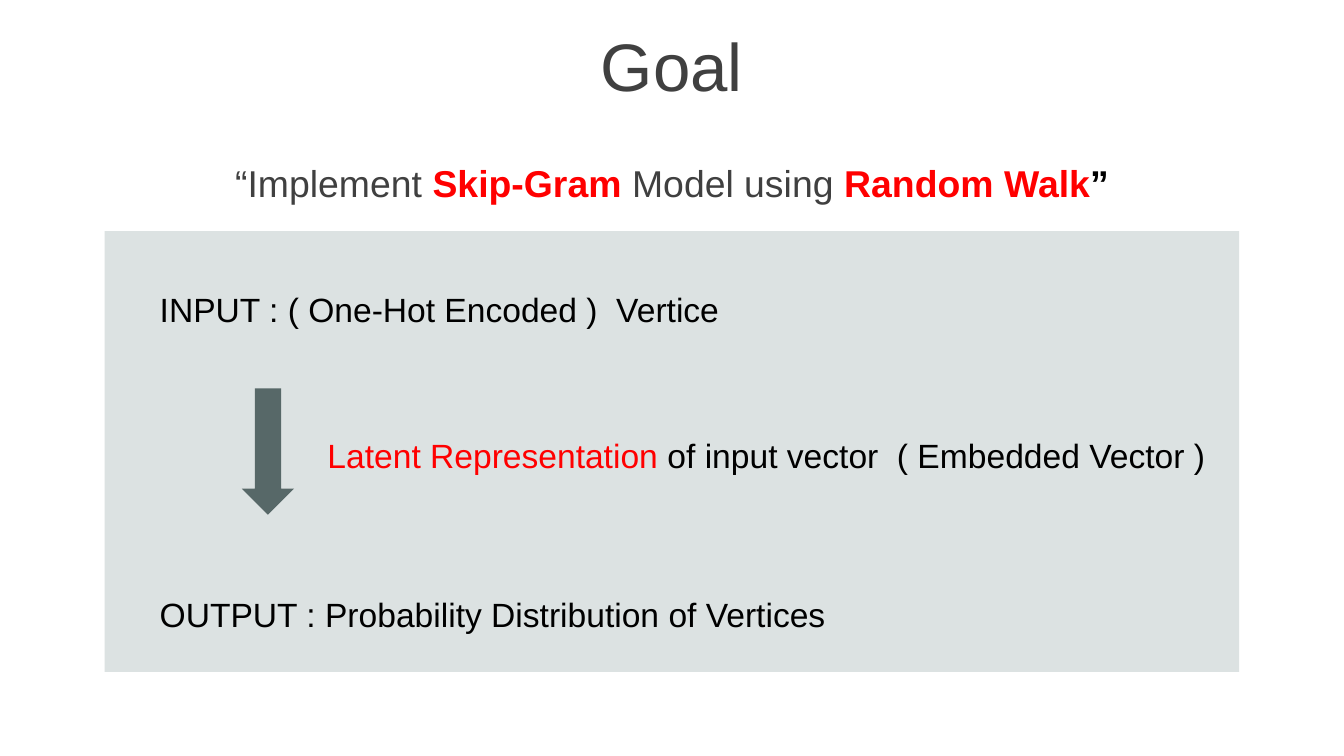
from pptx import Presentation
from pptx import util as u
from pptx.dml.color import RGBColor
from pptx.enum import shapes, text

BLACK = RGBColor(0x00, 0x00, 0x00)
GREY = RGBColor(0x40, 0x40, 0x40)
RED = RGBColor(0xFF, 0x00, 0x00)
PANEL = RGBColor(0xDC, 0xE2, 0xE2)
SLATE = RGBColor(0x57, 0x68, 0x68)

WIDTH, HEIGHT = u.Cm(25.4), u.Cm(14.29)


class SlideBuilder:
    font = "Arial"

    def __init__(self, deck):
        self.slide = deck.slides.add_slide(deck.slide_layouts[5])

    def shape(self, kind, area, color):
        shape = self.slide.shapes.add_shape(kind, *map(u.Cm, area))
        shape.shadow.inherit = False
        shape.fill.solid()
        shape.fill.fore_color.rgb = color
        shape.line.fill.background()

    def fill_paragraph(self, para, spans, size, align=text.PP_ALIGN.LEFT):
        """Fill a paragraph with (words, color, bold) spans."""
        para.alignment = align
        para.font.name = self.font
        para.font.size = u.Pt(size)
        for words, color, bold in spans:
            span = para.add_run()
            span.text = words
            span.font.color.rgb = color
            span.font.bold = bold

    def title(self, words, area):
        box = self.slide.shapes.title
        box.left, box.top, box.width, box.height = map(u.Cm, area)
        box.text_frame.auto_size = text.MSO_AUTO_SIZE.NONE
        box.text_frame.vertical_anchor = text.MSO_ANCHOR.MIDDLE
        self.fill_paragraph(box.text_frame.paragraphs[0],
                            [(words, GREY, False)], 36, text.PP_ALIGN.CENTER)

    def text_box(self, area, lines, size=18, spacing=1.0, gap=0,
                 align=text.PP_ALIGN.LEFT, anchor=text.MSO_ANCHOR.TOP):
        """Add a text box; gap is the space in points between its lines."""
        frame = self.slide.shapes.add_textbox(*map(u.Cm, area)).text_frame
        frame.word_wrap = True
        frame.vertical_anchor = anchor
        for index, spans in enumerate(lines):
            para = frame.add_paragraph() if index else frame.paragraphs[0]
            para.line_spacing = spacing
            para.space_before = u.Pt(gap if index else 0)
            self.fill_paragraph(para, spans, size, align)


def main():
    deck = Presentation()
    deck.slide_width, deck.slide_height = WIDTH, HEIGHT
    page = SlideBuilder(deck)

    page.shape(shapes.MSO_SHAPE.RECTANGLE, (1.98, 4.37, 21.44, 8.33), PANEL)
    page.title("Goal", (0, 0.43, 25.4, 1.6))
    page.text_box(
        (0, 3.05, 25.4, 0.79),
        [[("“Implement ", GREY, False), ("Skip-Gram", RED, True),
          (" Model using ", GREY, False), ("Random Walk", RED, True),
          ("”", BLACK, True)]],
        size=20, align=text.PP_ALIGN.CENTER, anchor=text.MSO_ANCHOR.MIDDLE)
    page.text_box(
        (2.77, 4.95, 20.04, 7.19),
        [[("INPUT : ( One-Hot Encoded )  Vertice", BLACK, False)],
         [("OUTPUT : Probability Distribution of Vertices", BLACK, False)]],
        spacing=1.5, gap=131)
    page.shape(shapes.MSO_SHAPE.DOWN_ARROW, (4.57, 7.34, 0.99, 2.39), SLATE)
    page.text_box(
        (5.94, 7.34, 19.05, 1.8),
        [[("Latent Representation", RED, False),
          (" of input vector  ( Embedded Vector )", BLACK, False)]],
        spacing=2.0)

    deck.save("out.pptx")


if __name__ == "__main__":
    main()
